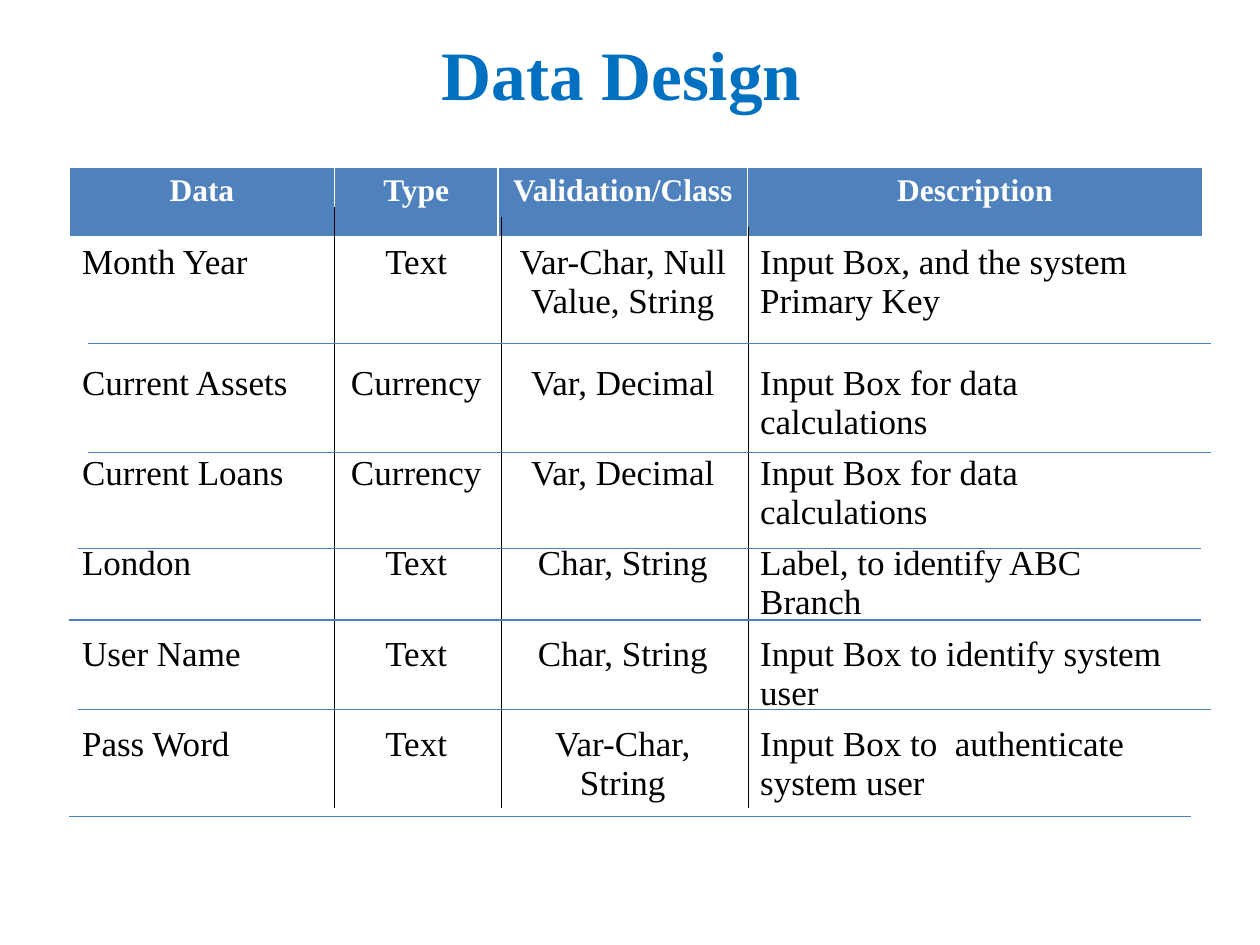
from typing import NamedTuple

from lxml.etree import SubElement
from pptx import Presentation
from pptx.dml.color import RGBColor
from pptx.enum.shapes import MSO_CONNECTOR
from pptx.enum.text import MSO_ANCHOR, PP_ALIGN
from pptx.oxml.ns import qn
from pptx.util import Cm, Pt

FONT = "Times New Roman"
WHITE = RGBColor(0xFF, 0xFF, 0xFF)
BLACK = RGBColor(0x00, 0x00, 0x00)
TITLE_BLUE = RGBColor(0x00, 0x70, 0xC0)
HEADER_BLUE = RGBColor(0x4F, 0x81, 0xBD)
RULE_BLUE = RGBColor(0x4B, 0x7E, 0xBC)


class Field(NamedTuple):
    """One row of the data design table."""
    data: str
    type: str
    validation: str
    description: str


class Rule(NamedTuple):
    """A straight line, with its ends in centimetres."""
    x1: float
    y1: float
    x2: float
    y2: float
    color: RGBColor


HEADER = Field("Data", "Type", "Validation/Class", "Description")
FIELDS = [
    Field("Month Year", "Text", "Var-Char, Null Value, String",
          "Input Box, and the system Primary Key"),
    Field("Current Assets", "Currency", "Var, Decimal", "Input Box for data calculations"),
    Field("Current Loans", "Currency", "Var, Decimal", "Input Box for data calculations"),
    Field("London", "Text", "Char, String", "Label, to identify ABC Branch"),
    Field("User Name", "Text", "Char, String", "Input Box to identify system user"),
    Field("Pass Word", "Text", "Var-Char, String", "Input Box to  authenticate system user"),
]
COL_WIDTHS = [5.34, 3.3, 5.03, 9.17]
ROW_HEIGHTS = [1.4, 2.44, 1.39, 1.39, 1.39, 1.39, 2.44]
CENTERED_COLS = (1, 2)

COLUMN_BOTTOM = 16.28
COLUMN_RULES = [Rule(x, top, x, COLUMN_BOTTOM, BLACK)
                for x, top in [(15.09, 4.57), (10.11, 4.37), (6.75, 4.17)]]
ROW_RULES = [Rule(left, y, right, y, RULE_BLUE)
             for left, right, y in [(1.57, 24.21, 11.05), (1.57, 24.41, 14.3),
                                    (1.78, 24.41, 9.12), (1.4, 24, 16.46),
                                    (1.78, 24.41, 6.93), (1.4, 24.21, 12.5)]]


def set_text(tf, text: str, size: float, color: RGBColor, bold: bool, centered: bool) -> None:
    """Fill a text frame with one formatted paragraph."""
    tf.text = text
    p = tf.paragraphs[0]
    p.alignment = PP_ALIGN.CENTER if centered else PP_ALIGN.LEFT
    font = p.runs[0].font
    font.name, font.size, font.bold = FONT, Pt(size), bold
    font.color.rgb = color


def add_title(slide, text: str) -> None:
    """Add the slide title."""
    sp = slide.shapes.add_textbox(Cm(1.1), Cm(0.76), Cm(22.86), Cm(1.42))
    tf = sp.text_frame
    tf.word_wrap = True
    tf.vertical_anchor = MSO_ANCHOR.MIDDLE
    set_text(tf, text, 39.6, TITLE_BLUE, True, True)


def add_field_table(slide) -> None:
    """Add the table with its header and one row per field."""
    rows = [HEADER, *FIELDS]
    table = slide.shapes.add_table(len(rows), len(COL_WIDTHS), Cm(1.4), Cm(3.37),
                                   Cm(sum(COL_WIDTHS)), Cm(sum(ROW_HEIGHTS))).table
    table.horz_banding = False
    for column, width in zip(table.columns, COL_WIDTHS):
        column.width = Cm(width)
    for i, (field, height) in enumerate(zip(rows, ROW_HEIGHTS)):
        table.rows[i].height = Cm(height)
        head = i == 0
        for j, text in enumerate(field):
            cell = table.cell(i, j)
            cell.margin_bottom = Cm(0)
            cell.fill.solid()
            cell.fill.fore_color.rgb = HEADER_BLUE if head else WHITE
            set_text(cell.text_frame, text, 18 if head else 20,
                     WHITE if head else BLACK, head, head or j in CENTERED_COLS)


def add_rule(slide, rule: Rule) -> None:
    """Draw one thin line without a shadow."""
    line = slide.shapes.add_connector(MSO_CONNECTOR.STRAIGHT, Cm(rule.x1), Cm(rule.y1),
                                      Cm(rule.x2), Cm(rule.y2))
    line.line.color.rgb = rule.color
    line.line.width = Pt(0.75)
    SubElement(line._element.spPr, qn("a:effectLst"))


def main() -> None:
    """Build the slide and save it."""
    prs = Presentation()
    prs.slide_width, prs.slide_height = Cm(25.4), Cm(19.05)
    slide = prs.slides.add_slide(prs.slide_layouts[6])
    add_title(slide, "Data Design")
    add_field_table(slide)
    for rule in COLUMN_RULES + ROW_RULES:
        add_rule(slide, rule)
    prs.save("out.pptx")


main()
